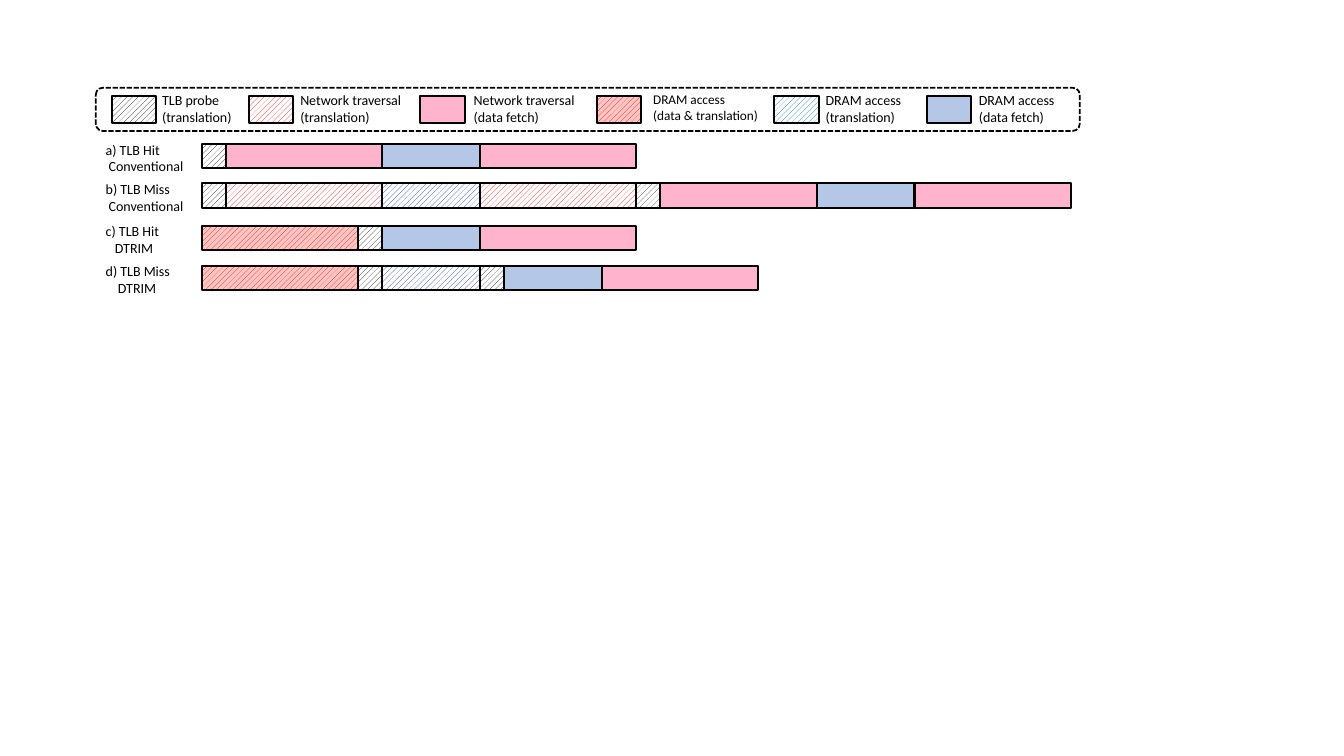
from dataclasses import dataclass

from lxml import etree
from pptx import Presentation
from pptx.dml.color import RGBColor
from pptx.enum import dml, shapes, text
from pptx.util import Inches, Pt

BLACK = RGBColor(0x00, 0x00, 0x00)
WHITE = RGBColor(0xFF, 0xFF, 0xFF)
INK = RGBColor(0x0D, 0x0D, 0x0D)
GRAY = RGBColor(0x40, 0x40, 0x40)
RED = RGBColor(0xFF, 0x00, 0x00)
BLUE = RGBColor(0x00, 0x26, 0xC4)
SKY = RGBColor(0x00, 0x70, 0xC0)
PINK = RGBColor(0xFF, 0xB3, 0xCD)
PERIWINKLE = RGBColor(0xB4, 0xC7, 0xE7)
SALMON = RGBColor(0xFF, 0xC6, 0xC4)

PROBE_LENGTH, NETWORK_LENGTH, DRAM_LENGTH = 0.24, 1.55, 0.97


@dataclass
class Phase:
    length: float
    back: RGBColor
    hatch: RGBColor = None


PROBE = Phase(PROBE_LENGTH, WHITE, INK)
SECOND_PROBE = Phase(PROBE_LENGTH, WHITE, GRAY)
NETWORK_TRANSLATION = Phase(NETWORK_LENGTH, WHITE, RED)
NETWORK_FETCH = Phase(NETWORK_LENGTH, PINK)
DRAM_TRANSLATION = Phase(DRAM_LENGTH, WHITE, BLUE)
DRAM_TRANSLATION_KEY = Phase(DRAM_LENGTH, WHITE, SKY)
DRAM_FETCH = Phase(DRAM_LENGTH, PERIWINKLE)
DRAM_COMBINED = Phase(NETWORK_LENGTH, SALMON, RED)

LEGEND = [
    (0.16, 0.56, PROBE, ("TLB probe", "(translation)"), 10),
    (1.52, 1.93, NETWORK_TRANSLATION, ("Network traversal", "(translation)"), 10),
    (3.22, 3.65, NETWORK_FETCH, ("Network traversal", "(data fetch)"), 10),
    (4.97, 5.43, DRAM_COMBINED, ("DRAM access", "(data & translation)"), 9.5),
    (6.73, 7.14, DRAM_TRANSLATION_KEY, ("DRAM access", "(translation)"), 10),
    (8.24, 8.66, DRAM_FETCH, ("DRAM access", "(data fetch)"), 10),
]

TIMELINES = [
    (1.43, ("a) TLB Hit", "Conventional"), 0.03,
     [PROBE, NETWORK_FETCH, DRAM_FETCH, NETWORK_FETCH]),
    (1.82, ("b) TLB Miss", "Conventional"), 0.03,
     [PROBE, NETWORK_TRANSLATION, DRAM_TRANSLATION, NETWORK_TRANSLATION,
      SECOND_PROBE, NETWORK_FETCH, DRAM_FETCH, NETWORK_FETCH]),
    (2.24, ("c) TLB Hit", "DTRIM"), 0.09,
     [DRAM_COMBINED, PROBE, DRAM_FETCH, NETWORK_FETCH]),
    (2.64, ("d) TLB Miss", "DTRIM"), 0.12,
     [DRAM_COMBINED, PROBE, DRAM_TRANSLATION, PROBE, DRAM_FETCH, NETWORK_FETCH]),
]


def add_phase(slide, phase, left, top, width, height):
    block = slide.shapes.add_shape(
        shapes.MSO_SHAPE.RECTANGLE,
        Inches(left), Inches(top), Inches(width), Inches(height))
    block.shadow.inherit = False
    if phase.hatch is None:
        block.fill.solid()
        block.fill.fore_color.rgb = phase.back
    else:
        block.fill.patterned()
        block.fill.pattern = dml.MSO_PATTERN.WIDE_UPWARD_DIAGONAL
        block.fill.fore_color.rgb = phase.hatch
        block.fill.back_color.rgb = phase.back
    block.line.color.rgb = BLACK
    block.line.width = Pt(1.5)


def add_label(slide, lines, left, top, width, size=10, indent=0):
    label = slide.shapes.add_textbox(
        Inches(left), Inches(top), Inches(width), Inches(0.44))
    frame = label.text_frame
    frame.word_wrap = True
    frame.auto_size = text.MSO_AUTO_SIZE.SHAPE_TO_FIT_TEXT
    for row, line in enumerate(lines):
        paragraph = frame.add_paragraph() if row else frame.paragraphs[0]
        if row and indent:
            paragraph._p.get_or_add_pPr().set("marL", str(Inches(indent)))
        run = paragraph.add_run()
        run.text = line
        run.font.name = "Calibri"
        run.font.size = Pt(size)
        run.font.color.rgb = BLACK


def add_legend(slide, left, top, width, height):
    for key_offset, label_offset, phase, lines, size in LEGEND:
        add_phase(slide, phase, left + key_offset, top + 0.08, 0.44, 0.27)
        add_label(slide, lines, left + label_offset, top - 0.01, 1.44, size)
    border = slide.shapes.add_shape(
        shapes.MSO_SHAPE.ROUNDED_RECTANGLE,
        Inches(left), Inches(top), Inches(width), Inches(height))
    border.shadow.inherit = False
    border.fill.background()
    border.line.color.rgb = BLACK
    border.line.width = Pt(1.25)
    border.line.dash_style = dml.MSO_LINE.SQUARE_DOT


def add_timeline(slide, lines, indent, phases, left, top, height):
    add_label(slide, lines, left, top - 0.08, 1.19, indent=indent)
    start = left + 1.05
    for phase in phases:
        add_phase(slide, phase, start, top, phase.length, height)
        start += phase.length


def build_slide(deck):
    slide = deck.slides.add_slide(deck.slide_layouts[6])
    for top, lines, indent, phases in TIMELINES:
        add_timeline(slide, lines, indent, phases, 0.95, top, 0.24)
    add_legend(slide, 0.95, 0.87, 9.76, 0.43)


deck = Presentation()
deck.slide_width = Inches(13.33)
deck.slide_height = Inches(7.5)
build_slide(deck)
deck.save("out.pptx")
